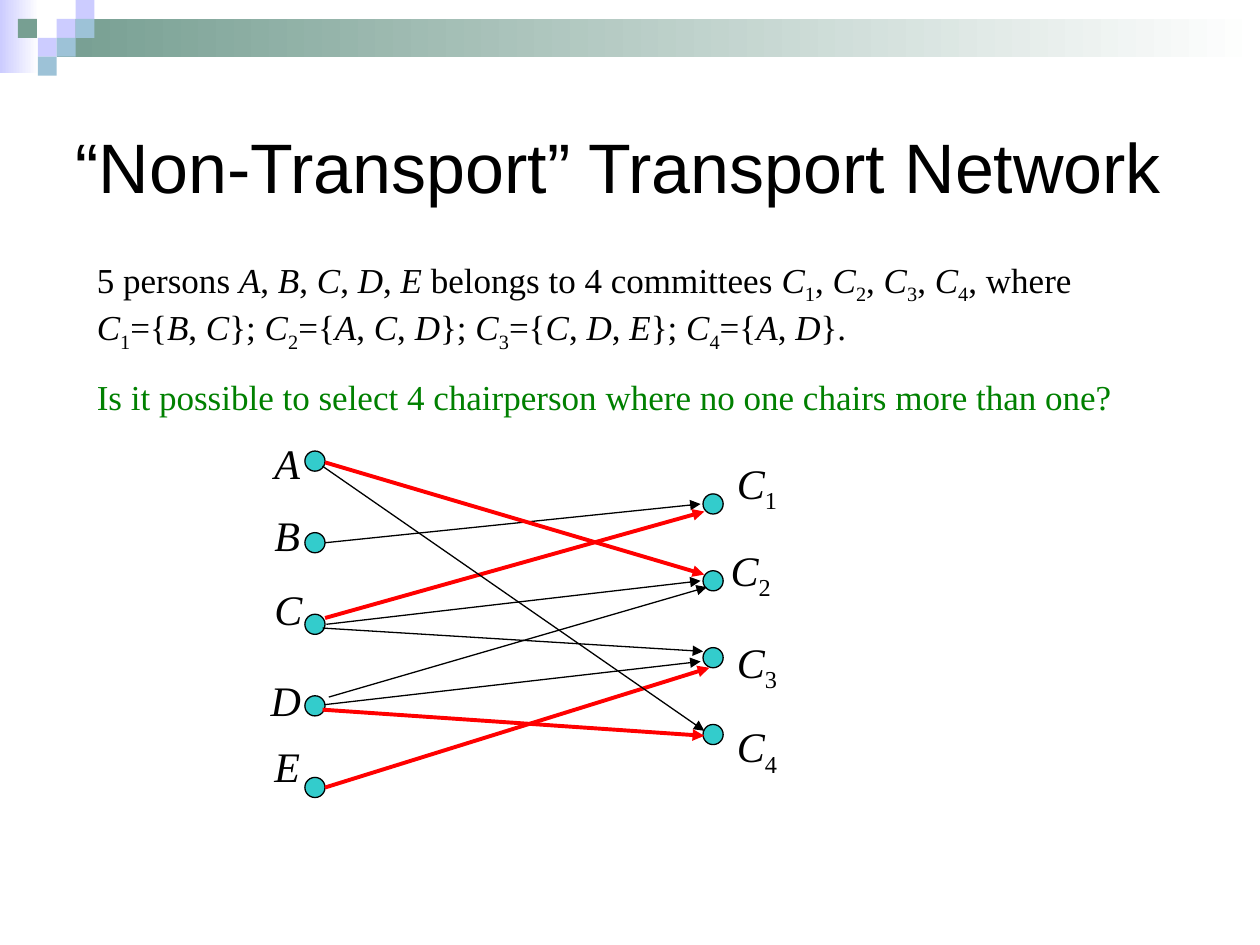
from dataclasses import dataclass

from lxml.etree import SubElement
from pptx import Presentation
from pptx.dml.color import RGBColor as Color
from pptx.enum.shapes import MSO_CONNECTOR as Connector, MSO_SHAPE as Preset
from pptx.enum.text import MSO_ANCHOR as Anchor, MSO_AUTO_SIZE as AutoSize, PP_ALIGN as Align
from pptx.oxml.ns import qn
from pptx.util import Inches, Pt


@dataclass(frozen=True)
class Theme:
    ink: str = "000000"
    question: str = "008000"
    dot: str = "33CCCC"
    chosen: str = "FF0000"
    lilac: str = "CCCCFF"
    sage: str = "779F92"
    sky: str = "9DC2D7"
    fade: str = "FFFFFF"
    heading: str = "Arial"
    serif: str = "Times New Roman"
    title_size: float = 40
    body_size: float = 20
    label_size: float = 24
    thin: float = 0.75
    thick: float = 2.25


@dataclass(frozen=True)
class Box:
    left: float
    top: float
    width: float
    height: float

    def within(self, left, top, width, height):
        return Box(self.left + left, self.top + top, width, height)

    def lengths(self):
        return [cells(value) for value in (self.left, self.top, self.width, self.height)]


THEME = Theme()
COLUMNS, ROWS = 100, 75
CELL = Inches(0.1)
TILE = 1.5
DOT = 1.6

TILES = [
    (3, 1, THEME.lilac), (4, 0, THEME.lilac), (4, 1, THEME.sky), (2, 2, THEME.lilac),
    (0.95, 1, THEME.sage), (3, 2, THEME.sky), (2, 3, THEME.sky),
]
PERSONS = [
    ("*A*", -4.2, -2.4), ("*B*", -4.2, -3.1), ("*C*", -4.2, -3.7),
    ("*D*", -4.5, -3), ("*E*", -4.2, -4.2),
]
COMMITTEES = [
    ("*C*_1_", 0.9, -4.2), ("*C*_2_", 0.4, -3.4), ("*C*_3_", 0.9, -2.2), ("*C*_4_", 0.9, -1.6),
]
MEMBERSHIPS = [
    ("B", 1, (0.8, 0), (-1, 0), False),
    ("C", 1, (0.8, -0.5), (-0.7, 0.6), True),
    ("A", 2, (0.8, 0.1), (-0.7, -0.5), True),
    ("C", 2, (0.9, 0), (-1, 0), False),
    ("D", 2, (1.1, -0.7), (-0.5, 0.5), False),
    ("C", 3, (0.6, 0.3), (-0.8, -0.5), False),
    ("D", 3, (0.8, -0.1), (-1, 0.3), False),
    ("E", 3, (0.8, 0), (-0.3, 0.8), True),
    ("A", 4, (0.6, 0.4), (-0.7, -0.3), False),
    ("D", 4, (0.6, 0.3), (-0.7, 0.1), True),
]
STATEMENT = (
    "5 persons *A*, *B*, *C*, *D*, *E* belongs to 4 committees "
    "*C*_1_, *C*_2_, *C*_3_, *C*_4_, where "
    "*C*_1_={*B*, *C*}; *C*_2_={*A*, *C*, *D*}; "
    "*C*_3_={*C*, *D*, *E*}; *C*_4_={*A*, *D*}."
)
QUESTION = "Is it possible to select 4 chairperson where no one chairs more than one?"


def cells(count):
    return round(count * CELL)


def write(para, text, size=THEME.body_size, font=THEME.serif, color=THEME.ink, before=0):
    para.alignment = Align.LEFT
    para.space_before = Pt(before)
    for part, chunk in enumerate(text.split("*")):
        for piece, words in enumerate(chunk.split("_")):
            if not words:
                continue
            span = para.add_run()
            span.text = words
            span.font.size = Pt(size)
            span.font.name = font
            span.font.color.rgb = Color.from_string(color)
            span.font.italic = part % 2 == 1
            if piece % 2:
                span.font._element.set("baseline", "-25000")


def add_text_box(page, box):
    frame = page.shapes.add_textbox(*box.lengths()).text_frame
    frame.word_wrap = True
    return frame


def add_block(page, preset, box, fill, fade=None, outline=None):
    shape = page.shapes.add_shape(preset, *box.lengths())
    shape.shadow.inherit = False
    if fade:
        shape.fill.gradient()
        shape.fill.gradient_angle = 0
        for stop, color in zip(shape.fill.gradient_stops, (fill, fade)):
            stop.color.rgb = Color.from_string(color)
    else:
        shape.fill.solid()
        shape.fill.fore_color.rgb = Color.from_string(fill)
    if outline:
        shape.line.color.rgb = Color.from_string(outline)
        shape.line.width = Pt(THEME.thin)
    else:
        shape.line.fill.background()


def add_arrow(page, start, end, color, width):
    arrow = page.shapes.add_connector(Connector.STRAIGHT, *map(cells, (*start, *end)))
    arrow.line.color.rgb = Color.from_string(color)
    arrow.line.width = Pt(width)
    SubElement(arrow.line._get_or_add_ln(), qn("a:tailEnd"), type="triangle")
    SubElement(arrow._element.spPr, qn("a:effectLst"))


def add_header(page, box):
    add_block(page, Preset.RECTANGLE, box.within(0, 0, 3.1, 5.8), THEME.lilac, THEME.fade)
    band = box.within(3 * TILE, TILE, box.width - 3 * TILE, 2 * TILE)
    add_block(page, Preset.RECTANGLE, band, THEME.sage, THEME.fade)
    for column, row, color in TILES:
        tile = box.within(column * TILE, row * TILE, TILE, TILE)
        add_block(page, Preset.RECTANGLE, tile, color)


def add_title(page, box):
    title = page.shapes.title
    title.left, title.top, title.width, title.height = box.lengths()
    frame = title.text_frame
    frame.auto_size = AutoSize.NONE
    frame.vertical_anchor = Anchor.MIDDLE
    write(frame.paragraphs[0], "“Non-Transport” Transport Network",
          size=THEME.title_size, font=THEME.heading)


def add_problem(page, box):
    frame = add_text_box(page, box)
    write(frame.paragraphs[0], STATEMENT)
    write(frame.add_paragraph(), QUESTION, color=THEME.question, before=12.5)


def add_nodes(page, labels, center_x, top, step, label_height):
    centers = [(center_x, top + step * row) for row in range(len(labels))]
    for (x, y), (text, shift_x, shift_y) in zip(centers, labels):
        dot = Box(x - DOT / 2, y - DOT / 2, DOT, DOT)
        add_block(page, Preset.OVAL, dot, THEME.dot, outline=THEME.ink)
        frame = add_text_box(page, Box(x + shift_x, y + shift_y, 6.7, label_height))
        write(frame.paragraphs[0], text, size=THEME.label_size)
    return centers


def add_network(page, box):
    person_step = box.height / (len(PERSONS) - 1)
    persons = add_nodes(page, PERSONS, box.left, box.top, person_step, 5)
    committees = add_nodes(page, COMMITTEES, box.left + box.width, box.top + 3.4, 6.1, 5.6)
    for person, committee, leave, reach, chosen in MEMBERSHIPS:
        start_x, start_y = persons["ABCDE".index(person)]
        end_x, end_y = committees[committee - 1]
        add_arrow(page, (start_x + leave[0], start_y + leave[1]),
                  (end_x + reach[0], end_y + reach[1]),
                  THEME.chosen if chosen else THEME.ink,
                  THEME.thick if chosen else THEME.thin)


def main():
    deck = Presentation()
    deck.slide_width, deck.slide_height = cells(COLUMNS), cells(ROWS)
    page = deck.slides.add_slide(deck.slide_layouts[5])
    add_header(page, Box(0, 0, COLUMNS, 6))
    add_title(page, Box(5, 6.2, 90, 13.8))
    add_problem(page, Box(6.7, 20, 85.8, 13.7))
    add_network(page, Box(25, 36.6, 31.6, 25.9))
    deck.save("out.pptx")


if __name__ == "__main__":
    main()
